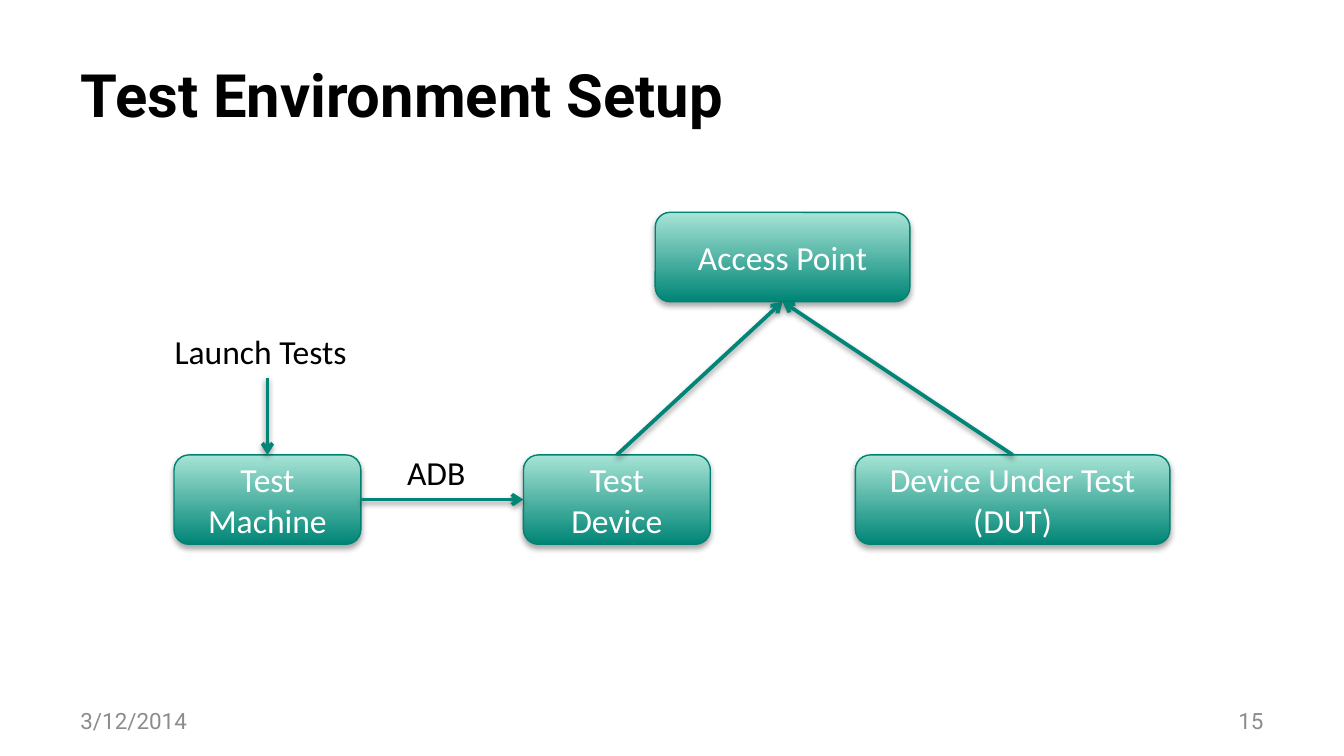
from dataclasses import dataclass

from lxml import etree
from pptx import Presentation
from pptx import util as u
from pptx.dml.color import RGBColor
from pptx.enum import shapes, text
from pptx.oxml import ns

PX = 4572
COLORS = {
    "black": "000000",
    "white": "FFFFFF",
    "gray": "8C8C8C",
    "teal": "008576",
    "mint": "A7E4D6",
    "edge": "008273",
}
TOP, LEFT, BOTTOM, RIGHT = range(4)
ALIGN = text.PP_ALIGN
ANCHOR = text.MSO_ANCHOR


@dataclass(frozen=True)
class Node:
    label: str
    left: int
    top: int
    width: int
    height: int = 133


@dataclass(frozen=True)
class Label:
    words: str
    left: int
    top: int
    width: int
    height: int
    size: int = 18
    font: str = "Calibri"
    color: str = "black"
    align: ALIGN = ALIGN.LEFT
    anchor: ANCHOR = ANCHOR.TOP


@dataclass(frozen=True)
class Link:
    start: str
    start_site: int
    end: str
    end_site: int


NODES = [
    Node("Test Machine", 259, 677, 278),
    Node("Access Point", 975, 316, 379),
    Node("Test Device", 779, 677, 278),
    Node("Device Under Test (DUT)", 1273, 677, 468),
]
LINKS = [
    Link("Test Machine", RIGHT, "Test Device", LEFT),
    Link("Test Device", TOP, "Access Point", BOTTOM),
    Link("Device Under Test (DUT)", TOP, "Access Point", BOTTOM),
]
FOOTER = dict(top=1043, width=467, height=60, size=12, font="Roboto",
              color="gray", anchor=ANCHOR.MIDDLE)
LABELS = [
    Label("3/12/2014", left=100, **FOOTER),
    Label("15", left=1433, align=ALIGN.RIGHT, **FOOTER),
    Label("ADB", 586, 663, 144, 80),
    Label("Launch Tests", 240, 482, 316, 80),
]


def rgb(name: str) -> RGBColor:
    return RGBColor.from_string(COLORS[name])


def write(box, words: str, size: int, font: str, color: str,
          align: ALIGN, anchor: ANCHOR, bold: bool = False) -> None:
    frame = box.text_frame
    frame.text = words
    frame.word_wrap = True
    frame.auto_size = text.MSO_AUTO_SIZE.NONE
    frame.vertical_anchor = anchor
    para = frame.paragraphs[0]
    para.alignment = align
    for span in para.runs:
        span.font.size = u.Pt(size)
        span.font.name = font
        span.font.bold = bold
        span.font.color.rgb = rgb(color)


def add_shadow(properties, distance: int, opacity: int) -> None:
    effects = etree.SubElement(properties, ns.qn("a:effectLst"))
    shadow = etree.SubElement(effects, ns.qn("a:outerShdw"), blurRad="40000",
                              dist=str(distance), dir="5400000", rotWithShape="0")
    color = etree.SubElement(shadow, ns.qn("a:srgbClr"), val=COLORS["black"])
    etree.SubElement(color, ns.qn("a:alpha"), val=str(opacity * 1000))


def add_node(page, node: Node):
    box = page.shapes.add_shape(
        shapes.MSO_SHAPE.ROUNDED_RECTANGLE,
        node.left * PX, node.top * PX, node.width * PX, node.height * PX)
    box.fill.gradient()
    box.fill.gradient_angle = 90
    for stop, color in zip(box.fill.gradient_stops, ("teal", "mint")):
        stop.color.rgb = rgb(color)
    box.line.color.rgb = rgb("edge")
    box.line.width = u.Pt(0.75)
    add_shadow(box._element.spPr, 23000, 35)
    write(box, node.label, 18, "Calibri", "white", ALIGN.CENTER, ANCHOR.MIDDLE)
    return box


def add_label(page, label: Label) -> None:
    box = page.shapes.add_textbox(label.left * PX, label.top * PX,
                                  label.width * PX, label.height * PX)
    write(box, label.words, label.size, label.font, label.color,
          label.align, label.anchor)


def add_arrow(page, x: int = 0, y: int = 0):
    arrow = page.shapes.add_connector(
        shapes.MSO_CONNECTOR.STRAIGHT, x * PX, y * PX, x * PX, y * PX)
    arrow.line.color.rgb = rgb("teal")
    arrow.line.width = u.Pt(2)
    etree.SubElement(arrow.line._get_or_add_ln(), ns.qn("a:tailEnd"), type="arrow")
    add_shadow(arrow._element.spPr, 20000, 38)
    return arrow


def main() -> None:
    deck = Presentation()
    deck.slide_width, deck.slide_height = 2000 * PX, 1125 * PX
    page = deck.slides.add_slide(deck.slide_layouts[5])

    title = page.shapes.title
    title.left, title.top = 100 * PX, 45 * PX
    title.width, title.height = 1800 * PX, 188 * PX
    write(title, "Test Environment Setup", 32, "Roboto", "black",
          ALIGN.LEFT, ANCHOR.MIDDLE, bold=True)

    boxes = {node.label: add_node(page, node) for node in NODES}
    for link in LINKS:
        arrow = add_arrow(page)
        arrow.begin_connect(boxes[link.start], link.start_site)
        arrow.end_connect(boxes[link.end], link.end_site)
    launch = add_arrow(page, 398, 562)
    launch.end_connect(boxes["Test Machine"], TOP)

    for label in LABELS:
        add_label(page, label)
    deck.save("out.pptx")


if __name__ == "__main__":
    main()
